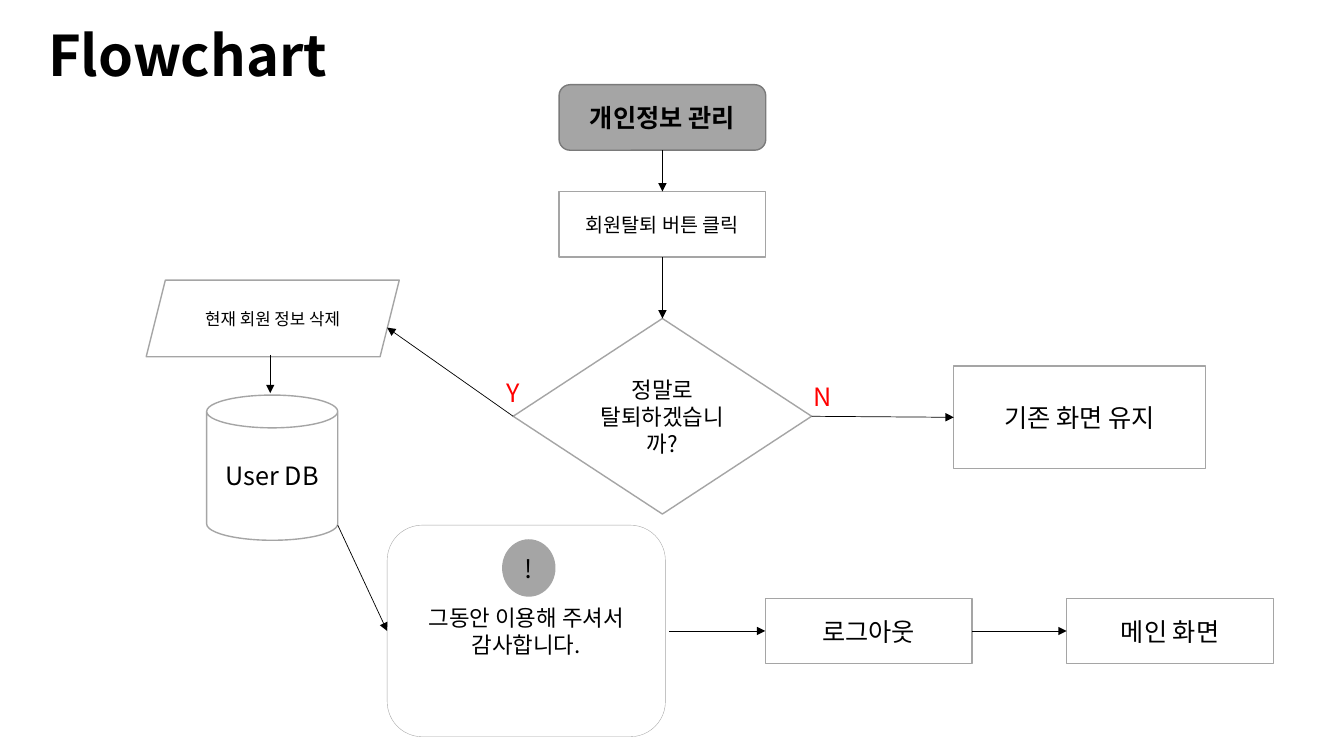
from pptx import Presentation
from pptx.dml.color import RGBColor
from pptx.enum.shapes import MSO_CONNECTOR, MSO_SHAPE
from pptx.enum.text import MSO_ANCHOR, MSO_AUTO_SIZE, PP_ALIGN
from pptx.oxml.ns import qn
from pptx.util import Inches, Pt
from lxml.etree import SubElement

FONT = "Noto Sans CJK KR"
BLACK = RGBColor(0x00, 0x00, 0x00)
WHITE = RGBColor(0xFF, 0xFF, 0xFF)
GRAY = RGBColor(0xA5, 0xA5, 0xA5)
DARK_GRAY = RGBColor(0x7A, 0x7A, 0x7A)
RED = RGBColor(0xFF, 0x00, 0x00)

CELL = Inches(0.1)  # side of one square of the slide grid
STEP_W, STEP_H = 20.5, 6.5  # ordinary step, in cells
TOP, LEFT, BOTTOM, RIGHT = range(4)  # connection sites


def at(box, x, y):
    """Point x columns and y rows into a box."""
    return int((box[0] + x) * CELL), int((box[1] + y) * CELL)


def write(sp, text, size, color=BLACK, bold=False, align=PP_ALIGN.CENTER):
    tf = sp.text_frame
    tf.word_wrap = True
    p = tf.paragraphs[0]
    p.text = text
    p.alignment = align
    p.font.name = FONT
    p.font.size = Pt(size)
    p.font.bold = bold
    p.font.color.rgb = color
    SubElement(p._p.pPr.find(qn("a:defRPr")), qn("a:ea"), typeface=FONT)


def add_label(s, box, text, size, color=BLACK, bold=False):
    x, y, w, h = box
    sp = s.shapes.add_textbox(*at((x, y), 0, 0), int(w * CELL), int(h * CELL))
    write(sp, text, size, color, bold, PP_ALIGN.LEFT)
    sp.text_frame.auto_size = MSO_AUTO_SIZE.SHAPE_TO_FIT_TEXT


def add_node(parent, box, x, y, w, h, text, size, kind=MSO_SHAPE.RECTANGLE,
             fill=WHITE, line=GRAY, width=1, bold=False):
    sp = parent.shapes.add_shape(kind, *at(box, x, y), int(w * CELL), int(h * CELL))
    sp.shadow.inherit = False
    sp.fill.solid()
    sp.fill.fore_color.rgb = fill
    if line is None:
        sp.line.fill.background()
    else:
        sp.line.color.rgb = line
        sp.line.width = Pt(width)
    sp.text_frame.vertical_anchor = MSO_ANCHOR.MIDDLE
    write(sp, text, size, bold=bold)
    return sp


def add_arrow(s, start, end):
    """Each end is a (shape, site) pair or a slide point."""
    c = s.shapes.add_connector(MSO_CONNECTOR.STRAIGHT, 0, 0, 0, 0)
    if isinstance(start[0], int):
        c.begin_x, c.begin_y = start
    else:
        c.begin_connect(*start)
    if isinstance(end[0], int):
        c.end_x, c.end_y = end
    else:
        c.end_connect(*end)
    c.line.color.rgb = BLACK
    c.line.width = Pt(0.5)
    SubElement(c.line._get_or_add_ln(), qn("a:tailEnd"), type="triangle")
    SubElement(c._element.spPr, qn("a:effectLst"))


def draw_request(s, box):
    """Entry, button click and decision, centred down the box."""
    w = box[2]
    x = (w - STEP_W) / 2
    entry = add_node(s, box, x, 0, STEP_W, STEP_H, "개인정보 관리", 18,
                     MSO_SHAPE.ROUNDED_RECTANGLE, GRAY, DARK_GRAY, bold=True)
    click = add_node(s, box, x, 10.6, STEP_W, STEP_H, "회원탈퇴 버튼 클릭", 14)
    decision = add_node(s, box, 0, 23.2, w, 19.4, "정말로 탈퇴하겠습니까?", 16,
                        MSO_SHAPE.FLOWCHART_DECISION)
    add_arrow(s, (entry, BOTTOM), (click, TOP))
    add_arrow(s, (click, BOTTOM), (decision, TOP))
    return decision


def draw_keep(s, box, decision):
    """The No branch."""
    keep = add_node(s, box, 0, 0, box[2], box[3], "기존 화면 유지", 18)
    add_arrow(s, (decision, RIGHT), (keep, LEFT))
    add_label(s, (box[0] - 14.9, box[1] + 1, 3.4, 4), "N", 18, RED)


def draw_delete(s, box, decision):
    """The Yes branch: delete the member from the database."""
    add_node(s, box, 0, 0, box[2], 7.6, "현재 회원 정보 삭제", 12,
             MSO_SHAPE.PARALLELOGRAM)
    add_node(s, box, 6, 11.4, 13, 14.4, "User DB", 18, MSO_SHAPE.CAN)
    add_arrow(s, (decision, LEFT), at(box, 23.9, 4.7))
    add_arrow(s, at(box, 12.3, 7.4), at(box, 12.3, 11.2))
    add_label(s, (box[0] + 34.8, box[1] + 9.1, 3.4, 4), "Y", 18, RED)
    return at(box, 19, 24.3)


def draw_closing(s, box, database_exit):
    """Farewell message, log-out and main screen along one row."""
    h = box[3]
    message = s.shapes.add_group_shape()
    thanks = add_node(message, box, 0, 0, 27.6, h, "그동안 이용해 주셔서 감사합니다.", 16,
                      MSO_SHAPE.ROUNDED_RECTANGLE, width=0.25)
    add_node(message, box, 11.4, 1.4, 5.3, 5.7, "!", 18, MSO_SHAPE.OVAL, GRAY, None)
    y = (h - STEP_H) / 2
    logout, main_screen = [
        add_node(s, box, x, y, STEP_W, STEP_H, text, 18)
        for x, text in ((37.5, "로그아웃"), (box[2] - STEP_W, "메인 화면"))]
    add_arrow(s, database_exit, (thanks, LEFT))
    add_arrow(s, at(box, 28, h / 2), (logout, LEFT))
    add_arrow(s, (logout, RIGHT), (main_screen, LEFT))


def main():
    prs = Presentation()
    prs.slide_width, prs.slide_height = Inches(13.33), Inches(7.5)
    s = prs.slides.add_slide(prs.slide_layouts[6])
    # Boxes are left, top, width, height in cells
    add_label(s, (3.8, 1.5, 44.4, 7.7), "Flowchart", 40, bold=True)
    decision = draw_request(s, (50.9, 8.4, 29.6, 42.6))
    draw_keep(s, (94.6, 36.3, 25, 10.2), decision)
    database_exit = draw_delete(s, (14.5, 27.8, 25.1, 25.8), decision)
    draw_closing(s, (38.4, 52.1, 87.9, 21), database_exit)
    prs.save("out.pptx")


if __name__ == "__main__":
    main()
